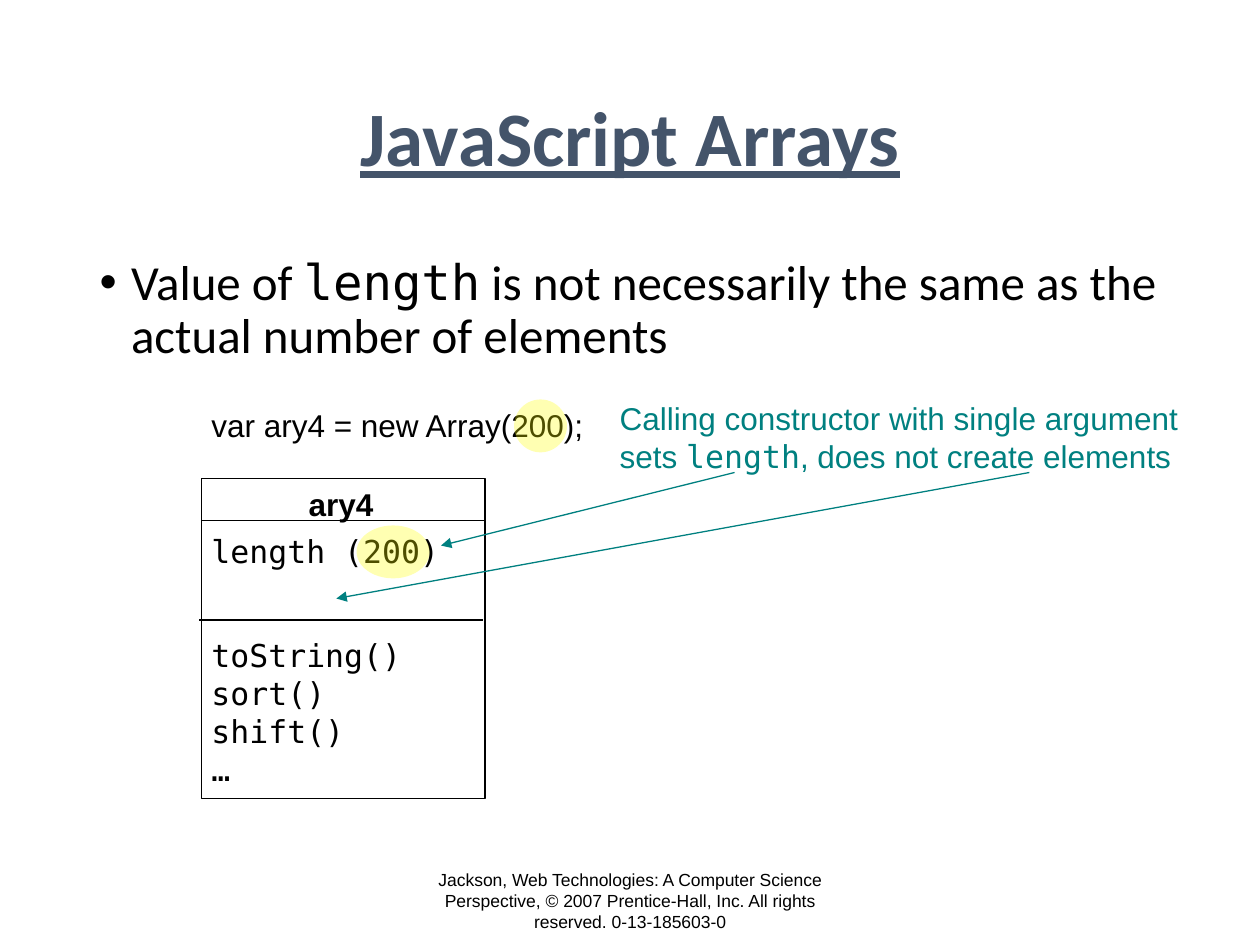
from pptx import Presentation
from pptx import util as u
from pptx.dml import color
from pptx.enum import shapes, text
from pptx.oxml import ns, xmlchemy

COLORS = {"ink": "000000", "title": "44546A", "note": "008080", "mark": "FFFF00"}
SANS, BODY, MONO = "Arial", "Calibri", "DejaVu Sans Mono"


def rgb(name):
    return color.RGBColor.from_string(COLORS[name])


def add_element(parent, tag, **attributes):
    element = xmlchemy.OxmlElement(tag)
    for key, value in attributes.items():
        element.set(key, value)
    parent.append(element)
    return element


def place(shape, box):
    shape.left, shape.top, shape.width, shape.height = map(u.Inches, box)


def write(para, parts, size, ink="ink", bold=None):
    for words, font in parts:
        span = para.add_run()
        span.text = words
        span.font.name = font
        span.font.size = u.Pt(size)
        span.font.bold = bold
        span.font.color.rgb = rgb(ink)


def add_label(page, box, lines, ink="ink", size=18, bold=None, wrap=False):
    label = page.shapes.add_textbox(*map(u.Inches, box))
    frame = label.text_frame
    frame.word_wrap = wrap
    for index, parts in enumerate(lines):
        para = frame.add_paragraph() if index else frame.paragraphs[0]
        write(para, parts, size, ink, bold)
    return frame


def add_line(page, start, end, ink="ink", arrow=False):
    line = page.shapes.add_connector(
        shapes.MSO_CONNECTOR.STRAIGHT, *map(u.Inches, start + end))
    line.line.color.rgb = rgb(ink)
    line.line.width = u.Pt(0.75)
    if arrow:
        add_element(line.line._get_or_add_ln(), "a:tailEnd", type="triangle")
    add_element(line._element.spPr, "a:effectLst")


def add_highlight(page, box):
    mark = page.shapes.add_shape(shapes.MSO_SHAPE.OVAL, *map(u.Inches, box))
    mark.shadow.inherit = False
    mark.fill.solid()
    mark.fill.fore_color.rgb = rgb("mark")
    mark.line.fill.background()
    tint = mark._element.spPr.find(".//" + ns.qn("a:srgbClr"))
    add_element(tint, "a:alpha", val="30000")


def fill_title(page, box):
    title = page.shapes.title
    place(title, box)
    frame = title.text_frame
    frame.vertical_anchor = text.MSO_ANCHOR.MIDDLE
    para = frame.paragraphs[0]
    para.alignment = text.PP_ALIGN.CENTER
    para.line_spacing = 0.9
    write(para, [("JavaScript Arrays", BODY)], 44, "title", True)
    para.runs[0].font.underline = True


def fill_body(page, box):
    body = page.placeholders[1]
    place(body, box)
    frame = body.text_frame
    frame.auto_size = text.MSO_AUTO_SIZE.NONE
    para = frame.paragraphs[0]
    para.line_spacing = 0.9
    para.space_before = u.Pt(0)
    properties = para._p.get_or_add_pPr()
    properties.set("marL", str(u.Inches(0.25)))
    properties.set("indent", str(-u.Inches(0.25)))
    add_element(properties, "a:buFont", typeface=SANS)
    add_element(properties, "a:buChar", char="•")
    write(para, [("Value of ", BODY), ("length", MONO),
                 (" is not necessarily the same as the actual number of elements", BODY)], 28)


def add_footer(page, box):
    frame = add_label(page, box, [[(
        "Jackson, Web Technologies: A Computer Science Perspective, "
        "© 2007 Prentice-Hall, Inc. All rights reserved. 0-13-185603-0", SANS)]],
        size=10, wrap=True)
    frame.vertical_anchor = text.MSO_ANCHOR.MIDDLE
    frame.paragraphs[0].alignment = text.PP_ALIGN.CENTER


def add_code(page, box):
    left, top, width, height = box
    add_label(page, box, [[("var ary4 = new Array(200);", SANS)]])
    add_highlight(page, (left + 2.5, top, 0.42, 0.42))


def add_array_card(page, box):
    left, top, width, height = box
    card = page.shapes.add_shape(shapes.MSO_SHAPE.RECTANGLE, *map(u.Inches, box))
    card.shadow.inherit = False
    card.fill.background()
    card.line.color.rgb = rgb("ink")
    card.line.width = u.Pt(0.75)
    for shift, drop in ((0, 0.33), (-0.02, 1.12)):
        start = left + shift
        add_line(page, (start, top + drop), (start + width, top + drop))
    add_label(page, (left + 0.75, top, 0.72, 0.4), [[("ary4", SANS)]], bold=True)
    add_label(page, (left - 0.02, top + 0.37, 2.01, 0.4), [[("length (200)", MONO)]])
    methods = ("toString()", "sort()", "shift()", "…")
    add_label(page, (left - 0.02, top + 1.2, 1.71, 1.3),
              [[(method, MONO)] for method in methods])
    add_highlight(page, (left + 1.23, top + 0.37, 0.58, 0.42))


def add_callout(page, box, targets):
    left, top, width, height = box
    add_label(page, box, [
        [("Calling constructor with single argument", SANS)],
        [("sets ", SANS), ("length", MONO), (", does not create elements", SANS)],
    ], "note")
    for offset, target in zip((1.01, 3.35), targets):
        add_line(page, (left + offset, top + 0.63), target, "note", arrow=True)


def main():
    deck = Presentation()
    deck.slide_width, deck.slide_height = u.Inches(10), u.Inches(7.5)
    page = deck.slides.add_slide(deck.slide_layouts[1])
    fill_title(page, (0.69, 0.4, 8.62, 1.45))
    fill_body(page, (0.69, 2, 8.62, 4.76))
    add_footer(page, (3.31, 6.95, 3.38, 0.4))
    add_code(page, (1.58, 3.17, 3.17, 0.4))
    add_array_card(page, (1.6, 3.8, 2.25, 2.54))
    add_callout(page, (4.82, 3.12, 4.63, 0.7), ((3.5, 4.33), (2.67, 4.75)))
    deck.save("out.pptx")


if __name__ == "__main__":
    main()
